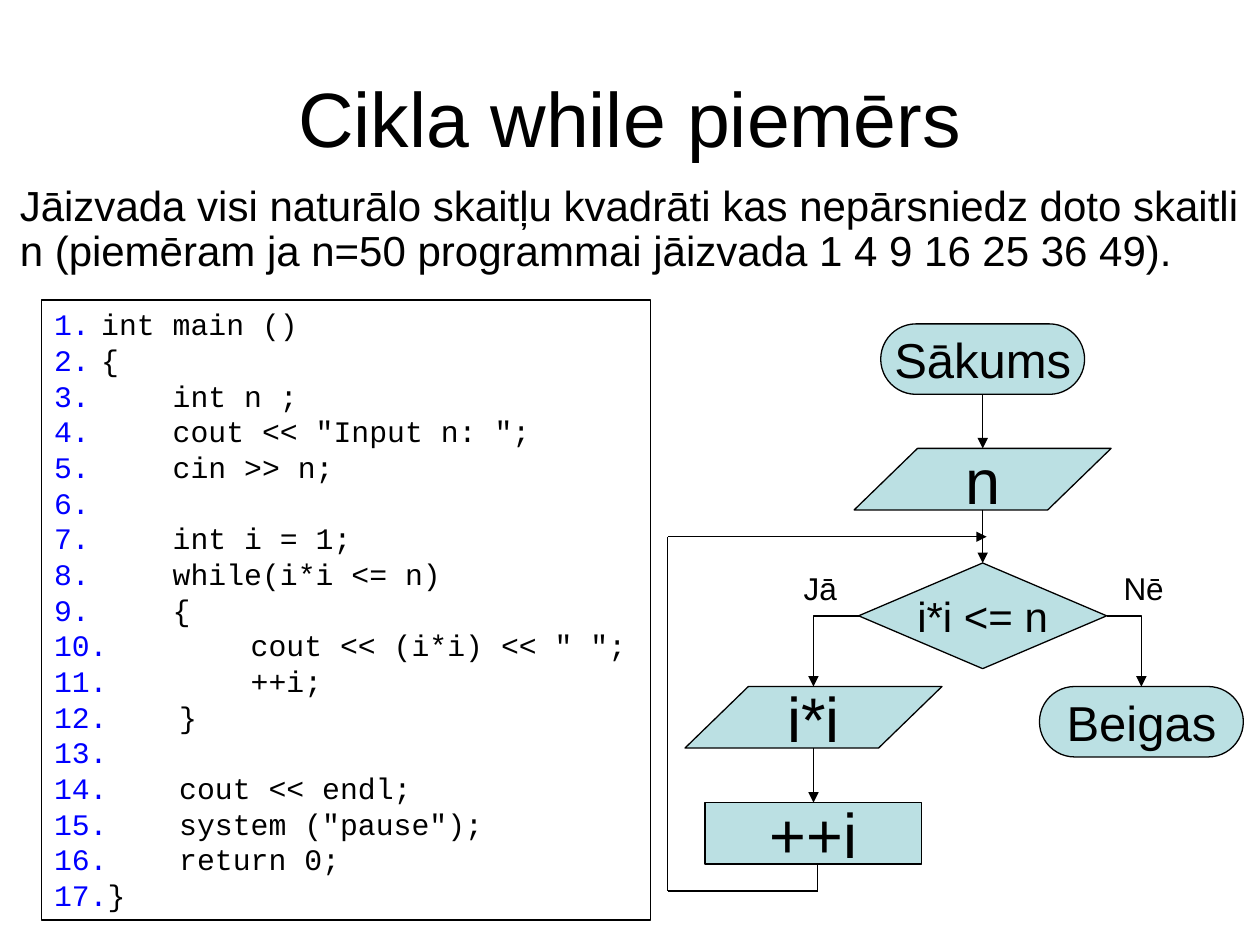
from itertools import pairwise

from lxml import etree
from pptx import Presentation
from pptx import util as u
from pptx.dml.color import RGBColor
from pptx.enum import shapes, text
from pptx.oxml.ns import qn

BLACK = RGBColor(0x00, 0x00, 0x00)
BLUE = RGBColor(0x00, 0x00, 0xFF)
TEAL = RGBColor(0xBB, 0xE0, 0xE3)
FORM = shapes.MSO_SHAPE
LINK = shapes.MSO_CONNECTOR
MID = text.MSO_ANCHOR.MIDDLE
HUB, LEFT, RIGHT = 19.81, 16.4, 23.01

CODE = """int main ()
{
    int n ;
    cout << "Input n: ";
    cin >> n;
 
    int i = 1;
    while(i*i <= n)
    {
        cout << (i*i) << " ";
        ++i;
    }
 
    cout << endl;
    system ("pause");
    return 0;
}""".split("\n")


class Deck:
    """Draws styled text, code, flowchart nodes and links on one slide."""

    def __init__(self, slide, font="Arial", mono="Courier New", width=0.75):
        self.slide = slide
        self.font = font
        self.mono = mono
        self.width = u.Pt(width)

    def add(self, para, words, size, font=None):
        run = para.add_run()
        run.text = words
        run.font.size = u.Pt(size)
        run.font.name = font or self.font
        run.font.color.rgb = BLACK

    def label(self, words, box, size, align=text.PP_ALIGN.LEFT, anchor=text.MSO_ANCHOR.TOP):
        frame = self.slide.shapes.add_textbox(*map(u.Cm, box)).text_frame
        frame.word_wrap = True
        frame.vertical_anchor = anchor
        para = frame.paragraphs[0]
        para.alignment = align
        self.add(para, words, size)
        return para

    def shape(self, form, box):
        item = self.slide.shapes.add_shape(form, *map(u.Cm, box))
        item.shadow.inherit = False
        item.line.color.rgb = BLACK
        item.line.width = self.width
        return item

    def code(self, lines, box, size, pitch):
        item = self.shape(FORM.RECTANGLE, box)
        item.fill.background()
        frame = item.text_frame
        frame.word_wrap = True
        frame.vertical_anchor = text.MSO_ANCHOR.TOP
        for num, line in enumerate(lines):
            para = frame.add_paragraph() if num else frame.paragraphs[0]
            para.alignment = text.PP_ALIGN.LEFT
            para.line_spacing = u.Pt(pitch)
            self.count(para)
            self.add(para, line, size, self.mono)

    def count(self, para, indent=0.95):
        props = para._p.get_or_add_pPr()
        props.set("marL", str(u.Cm(indent)))
        props.set("indent", str(-u.Cm(indent)))
        tint = etree.SubElement(props, qn("a:buClr"))
        etree.SubElement(tint, qn("a:srgbClr"), val=str(BLUE))
        etree.SubElement(props, qn("a:buFont"), typeface=self.mono)
        etree.SubElement(props, qn("a:buAutoNum"), type="arabicPeriod")

    def node(self, form, words, mid, top, wide, high, size, bend=None):
        item = self.shape(form, (mid - wide / 2, top, wide, high))
        item.fill.solid()
        item.fill.fore_color.rgb = TEAL
        if bend is not None:
            item.adjustments[0] = bend
        frame = item.text_frame
        frame.word_wrap = False
        frame.vertical_anchor = MID
        para = frame.paragraphs[0]
        para.alignment = text.PP_ALIGN.CENTER
        self.add(para, words, size)
        return item

    def link(self, start, end, head=True, bent=False, tail=None, tip=None):
        kind = LINK.ELBOW if bent else LINK.STRAIGHT
        line = self.slide.shapes.add_connector(kind, *map(u.Cm, (*start, *end)))
        line.line.color.rgb = BLACK
        line.line.width = self.width
        if tail:
            line.begin_connect(*tail)
        if tip:
            line.end_connect(*tip)
        props = line._element.spPr
        if bent:
            props.find(qn("a:prstGeom")).set("prst", "bentConnector2")
        if head:
            etree.SubElement(props.find(qn("a:ln")), qn("a:tailEnd"), type="triangle")
        etree.SubElement(props, qn("a:effectLst"))


def main():
    show = Presentation()
    show.slide_width, show.slide_height = u.Cm(25.4), u.Cm(19.05)
    deck = Deck(show.slides.add_slide(show.slide_layouts[6]))

    deck.label("Cikla while piemērs", (1.27, 0.76, 22.86, 3.18), 44, text.PP_ALIGN.CENTER, MID)
    task = deck.label(
        "Jāizvada visi naturālo skaitļu kvadrāti kas nepārsniedz doto skaitli n "
        "(piemēram ja n=50 programmai jāizvada 1 4 9 16 25 36 49).",
        (0.15, 3.61, 25.4, 3), 24)
    task.line_spacing = 0.9
    task.space_before = u.Pt(6)
    deck.code(CODE, (0.84, 6.05, 12.27, 12.5), 17, 20.4)

    pill, slant = FORM.ROUNDED_RECTANGLE, FORM.PARALLELOGRAM
    start = deck.node(pill, "Sākums", HUB, 6.53, 4.11, 1.42, 28, 0.5)
    deck.node(slant, "n", HUB, 9.04, 5.18, 1.24, 36, 1.03)
    test = deck.node(FORM.DIAMOND, "i*i <= n", HUB, 11.35, 5, 2.13, 24)
    deck.node(slant, "i*i", LEFT, 13.84, 5.18, 1.24, 36, 1.03)
    step = deck.node(FORM.RECTANGLE, "++i", LEFT, 16.18, 4.37, 1.24, 36)
    stop = deck.node(pill, "Beigas", RIGHT, 13.84, 4.11, 1.42, 28, 0.5)

    deck.link((HUB, 7.95), (HUB, 9.04), tail=(start, 2))
    deck.link((HUB, 10.28), (HUB, 11.35), tip=(test, 0))
    deck.link((17.31, 12.41), (LEFT, 13.84), bent=True, tail=(test, 1))
    deck.link((LEFT, 15.08), (LEFT, 16.18), tip=(step, 0))
    deck.link((22.31, 12.41), (RIGHT, 13.84), bent=True, tail=(test, 3), tip=(stop, 0))

    deck.label("Jā", (15.95, 11.35, 1.42, 1.02), 18)
    deck.label("Nē", (22.4, 11.35, 1.42, 1.02), 18)

    loop = [(16.48, 17.42), (16.48, 17.96), (13.46, 17.96), (13.46, 10.82), (19.89, 10.82)]
    for here, there in pairwise(loop):
        deck.link(here, there, head=there == loop[-1])

    show.save("out.pptx")


if __name__ == "__main__":
    main()
